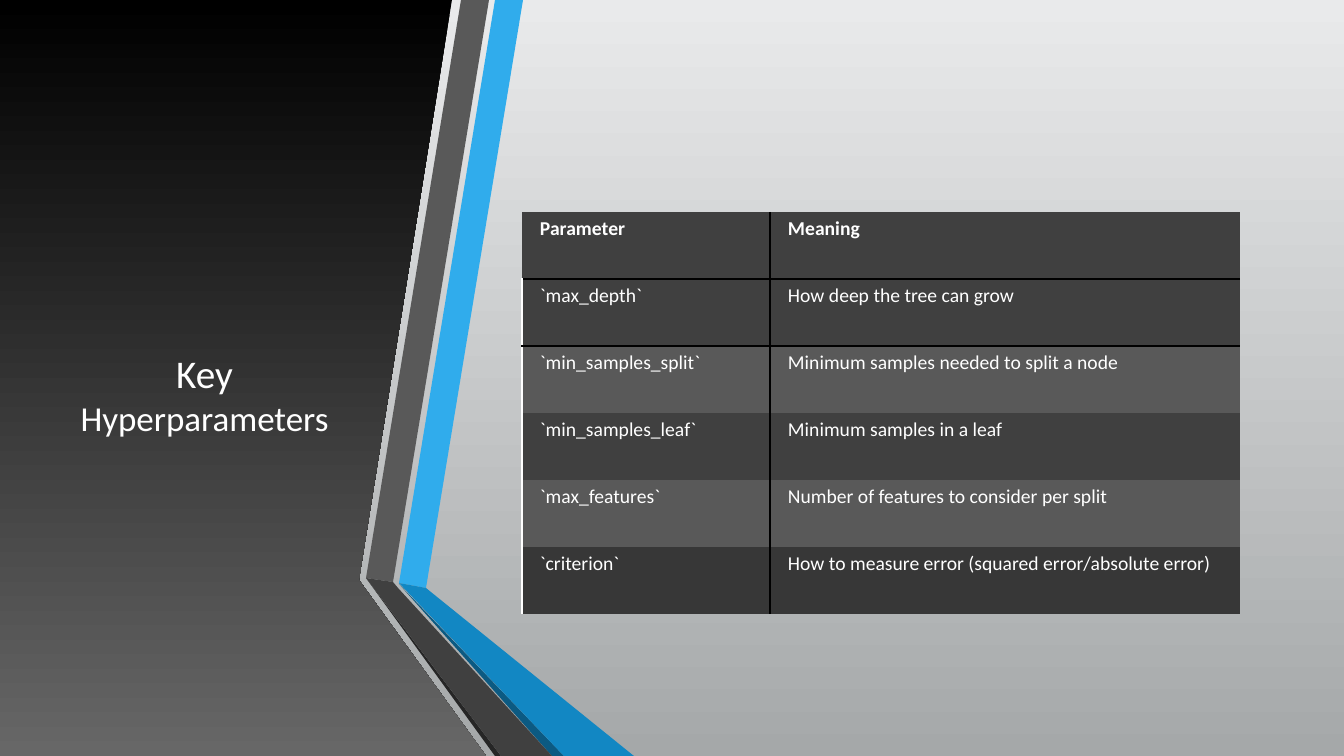
from lxml.etree import SubElement
from pptx import Presentation
from pptx.dml.color import RGBColor
from pptx.enum.text import MSO_ANCHOR as Anchor, PP_ALIGN as Align
from pptx.oxml.ns import qn
from pptx.util import Pt

PX = 914400 / 100.8
FONT = "Calibri"
WHITE, BLACK = "FFFFFF", "000000"
WIDE, HIGH = 1344, 756

BACK = ("E9EAEB", "A5A8A9")
SHADE = (BLACK, "676767")
PANEL = [(0, 0), (452, 0), (359, 580), (486, HIGH), (0, HIGH)]
RIBBON = [
    ("30ACEC", [(399, 583), (426, 588), (523, 0), (495, 0)]),
    ("595959", [(489, 0), (461, 0), (366, 578), (393, 582)]),
    ("262626", [(366, 578), (495, HIGH), (501, HIGH)]),
    ("0C5A82", [(399, 584), (552, HIGH), (564, HIGH)]),
    ("1287C3", [(399, 583), (564, HIGH), (634, HIGH), (426, 588)]),
    ("404040", [(552, HIGH), (398, 588), (393, 582), (366, 578), (501, HIGH)]),
]

TITLE = [("Key", 28), (" Hyperparameters", 25)]
TITLE_BOX = (59, 140, 291, 507)

ROWS = [
    ("Parameter", "Meaning"),
    ("`max_depth`", "How deep the tree can grow"),
    ("`min_samples_split`", "Minimum samples needed to split a node"),
    ("`min_samples_leaf`", "Minimum samples in a leaf"),
    ("`max_features`", "Number of features to consider per split"),
    ("`criterion`", "How to measure error (squared error/absolute error)"),
]
FILLS = ["404040", "404040", "595959", "404040", "595959", "373737"]
LEFT, TOP, ROW = 522, 212, 67
COLS = (248, 470)
INSETS = (18, 5, 25, 38)
NO_GRID = "{2D5ABB26-0587-4C30-8999-92F81FD0307C}"


def px(n):
    return round(n * PX)


def rgb(code):
    return RGBColor.from_string(code)


def fade(fill, pair):
    """Fill with a gradient that runs from top to bottom."""
    fill.gradient()
    fill.gradient_angle = 270
    for stop, code in zip(fill.gradient_stops, pair):
        stop.color.rgb = rgb(code)


def add_free(shapes, points):
    pen = shapes.build_freeform(*points[0], scale=PX)
    pen.add_line_segments(points[1:], close=True)
    shape = pen.convert_to_shape()
    shape.shadow.inherit = False
    shape.line.fill.background()
    return shape


def add_run(para, text, size, bold=False):
    run = para.add_run()
    run.text = text
    font = run.font
    font.name, font.size, font.bold = FONT, Pt(size), bold
    font.color.rgb = rgb(WHITE)


def add_edge(cell, side, code):
    props = cell._tc.get_or_add_tcPr()
    line = SubElement(props, qn("a:ln" + side), w=str(Pt(1)))
    fill = SubElement(line, qn("a:solidFill"))
    SubElement(fill, qn("a:srgbClr"), val=code)


def fill_cell(cell, text, row, col):
    head = row == 0
    if col:
        add_edge(cell, "L", BLACK)
    else:
        if not head:
            add_edge(cell, "L", WHITE)
        add_edge(cell, "R", BLACK)
    if row == 1:
        add_edge(cell, "T", BLACK)
    if head:
        add_edge(cell, "B", BLACK)
    cell.fill.solid()
    cell.fill.fore_color.rgb = rgb(FILLS[row])
    (cell.margin_left, cell.margin_top,
     cell.margin_right, cell.margin_bottom) = map(px, INSETS)
    cell.vertical_anchor = Anchor.BOTTOM if head else Anchor.TOP
    add_run(cell.text_frame.paragraphs[0], text, 14, head)


def add_grid(shapes):
    frame = shapes.add_table(len(ROWS), len(COLS), px(LEFT), px(TOP),
                             px(sum(COLS)), px(ROW * len(ROWS)))
    table = frame.table
    table._tbl.tblPr.find(qn("a:tableStyleId")).text = NO_GRID
    for col, width in zip(table.columns, COLS):
        col.width = px(width)
    for r, texts in enumerate(ROWS):
        table.rows[r].height = px(ROW)
        for c, text in enumerate(texts):
            fill_cell(table.cell(r, c), text, r, c)


def add_title(shapes):
    frame = shapes.add_textbox(*map(px, TITLE_BOX)).text_frame
    frame.word_wrap = True
    frame.vertical_anchor = Anchor.MIDDLE
    para = frame.paragraphs[0]
    para.alignment = Align.CENTER
    for text, size in TITLE:
        add_run(para, text, size)


def main():
    deck = Presentation()
    deck.slide_width, deck.slide_height = px(WIDE), px(HIGH)
    slide = deck.slides.add_slide(deck.slide_layouts[6])
    fade(slide.background.fill, BACK)
    fade(add_free(slide.shapes, PANEL).fill, SHADE)
    add_title(slide.shapes)
    ribbon = slide.shapes.add_group_shape()
    for code, points in RIBBON:
        band = add_free(ribbon.shapes, points)
        band.fill.solid()
        band.fill.fore_color.rgb = rgb(code)
    add_grid(slide.shapes)
    deck.save("out.pptx")


if __name__ == "__main__":
    main()
